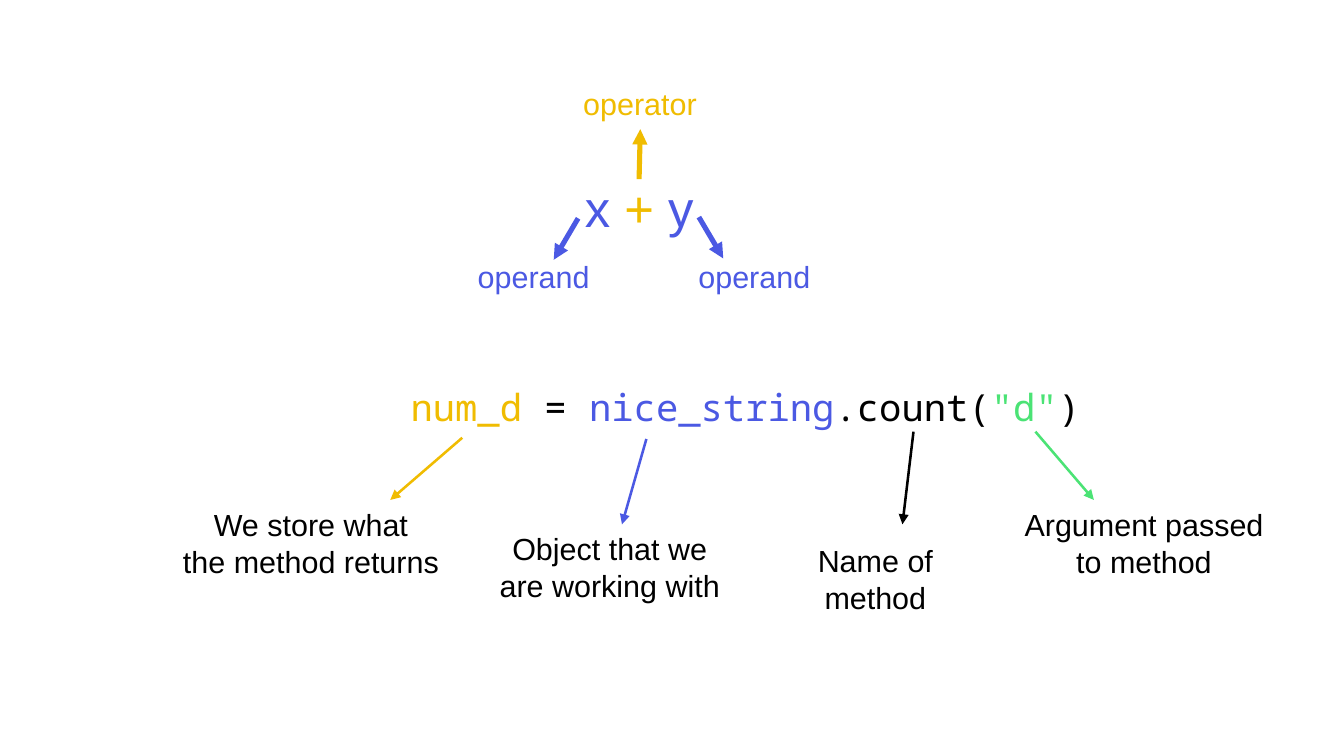
from dataclasses import dataclass

from lxml import etree
from pptx import Presentation
from pptx.dml.color import RGBColor
from pptx.enum import shapes, text
from pptx.oxml import ns
from pptx.util import Pt


@dataclass(frozen=True)
class Theme:
    yellow: str = "F0BC01"
    blue: str = "4B59E3"
    green: str = "4BE375"
    black: str = "000000"
    sans: str = "Arial"
    mono: str = "Noto Sans Mono"
    expression: int = 30
    code: int = 22
    label: int = 18
    thick: float = 3
    thin: float = 1.5


T = Theme()


def add_text(s, center, top, width, lines, size=T.label, font=T.sans):
    """Center a text box on a given x; each line is a list of (text, colour) runs."""
    height = len(lines) * size * 1.15 + 7.2
    box = s.shapes.add_textbox(Pt(center - width / 2), Pt(top), Pt(width), Pt(height))
    tf = box.text_frame
    tf.word_wrap = False
    for i, line in enumerate(lines):
        p = tf.add_paragraph() if i else tf.paragraphs[0]
        p.alignment = text.PP_ALIGN.CENTER
        for words, color in line:
            r = p.add_run()
            r.text = words
            for name, value in {"size": Pt(size), "name": font}.items():
                setattr(r.font, name, value)
            r.font.color.rgb = RGBColor.from_string(color)


def add_arrow(s, start, end, color, weight):
    points = [Pt(v) for v in (*start, *end)]
    arrow = s.shapes.add_connector(shapes.MSO_CONNECTOR.STRAIGHT, *points)
    arrow.line.color.rgb = RGBColor.from_string(color)
    arrow.line.width = Pt(weight)
    props = arrow._element.spPr
    etree.SubElement(props.find(ns.qn("a:ln")), ns.qn("a:tailEnd"), type="triangle")
    etree.SubElement(props, ns.qn("a:effectLst"))


def add_expression(s):
    add_text(s, 377.4, 100.8, 90,
             [[("x ", T.blue), ("+ ", T.yellow), ("y", T.blue)]], T.expression)
    parts = [
        ("operator", T.yellow, 377.8, 46.8, (377.3, 105.8), (378, 76.3)),
        ("operand", T.blue, 315, 149, (341.3, 128.9), (326.9, 153.4)),
        ("operand", T.blue, 445.3, 149, (412.6, 128.2), (427, 152.6)),
    ]
    for name, color, center, top, start, end in parts:
        add_arrow(s, start, end, color, T.thick)
        add_text(s, center, top, 96, [[(name, color)]])


def add_method_call(s):
    call = [("num_d ", T.yellow), ("=", T.black), (" nice_string", T.blue),
            (".count(", T.black), ('"d"', T.green), (")", T.black)]
    add_text(s, 440, 223.2, 430, [call], T.code, T.mono)
    notes = [
        (("We store what", "the method returns"), T.yellow, 183.6, 295.2,
         (272.9, 258.5), (230.4, 295.2)),
        (("Object that we", "are working with"), T.blue, 360, 309.6,
         (381.6, 259.2), (367.2, 309.6)),
        (("Name of", "method"), T.black, 516.8, 316.6,
         (539.3, 254.9), (532.8, 309.6)),
        (("Argument passed", "to method"), T.green, 675.4, 295.2,
         (611.3, 254.9), (645.8, 295.2)),
    ]
    for lines, color, center, top, start, end in notes:
        add_arrow(s, start, end, color, T.thin)
        add_text(s, center, top, 180, [[(line, T.black)] for line in lines])


def main():
    prs = Presentation()
    prs.slide_width, prs.slide_height = Pt(793.44), Pt(446.4)
    s = prs.slides.add_slide(prs.slide_layouts[6])
    add_expression(s)
    add_method_call(s)
    prs.save("out.pptx")


if __name__ == "__main__":
    main()
